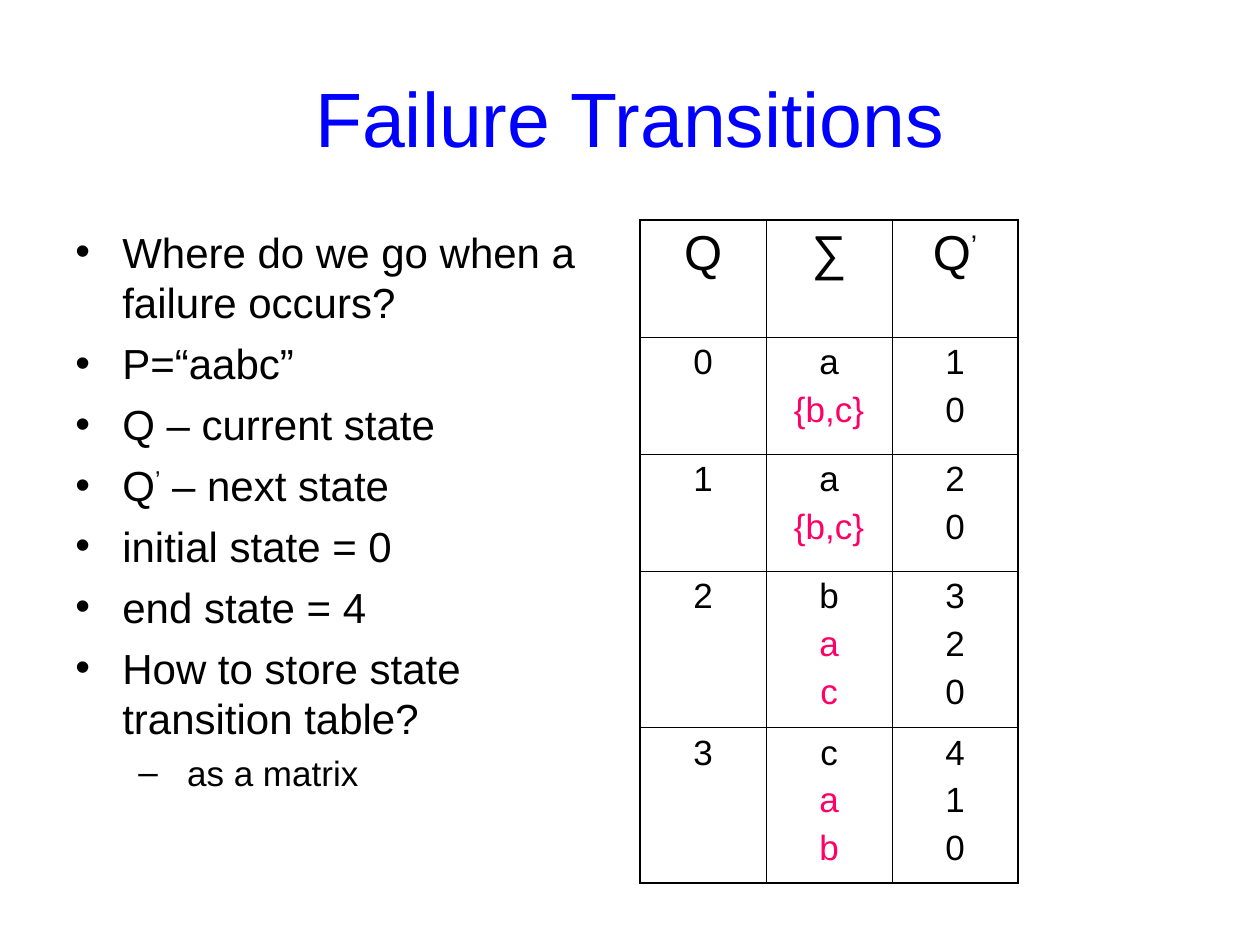
from lxml.etree import SubElement
from pptx import Presentation
from pptx.dml.color import RGBColor
from pptx.enum.text import MSO_ANCHOR as Anchor, PP_ALIGN as Align
from pptx.oxml.ns import qn
from pptx.util import Emu, Pt

BLACK = RGBColor(0x00, 0x00, 0x00)
BLUE = RGBColor(0x00, 0x00, 0xFF)
PINK = RGBColor(0xFF, 0x00, 0x66)
FONT = "Arial"
PRIME = "’"
THIN, THICK = 0.45, 1.08

BULLETS = [
    "Where do we go when a failure occurs?",
    "P=“aabc”",
    "Q – current state",
    "Q’ – next state",
    "initial state = 0",
    "end state = 4",
    "How to store state transition table?",
]
SUB_BULLET = " as a matrix"
HEADER = ["Q", "∑", "Q’"]
TRANSITIONS = [
    ("0", ["a", "{b,c}"], ["1", "0"]),
    ("1", ["a", "{b,c}"], ["2", "0"]),
    ("2", ["b", "a", "c"], ["3", "2", "0"]),
    ("3", ["c", "a", "b"], ["4", "1", "0"]),
]
COL_WIDTH = 126
ROW_HEIGHTS = [117, 117, 117, 156, 156]


def px(n):
    """Turn pixels at 126 to the inch into EMU."""
    return Emu(round(n * 914400 / 126))


def write(p, text, size, color=BLACK, before=0, align=Align.LEFT):
    """Fill a paragraph, raising each prime mark to superscript."""
    head, prime, tail = text.partition(PRIME)
    p.alignment = align
    p.space_before = Pt(before)
    for part in filter(None, (head, prime, tail)):
        r = p.add_run()
        r.text = part
        r.font.name = FONT
        r.font.size = Pt(size)
        r.font.color.rgb = color
        if part == PRIME:
            r.font._element.set("baseline", "30000")


def next_paragraph(tf, index):
    """Return the first paragraph of the frame, or a new one after it."""
    return tf.add_paragraph() if index else tf.paragraphs[0]


def add_text_frame(s, x, y, w, h, anchor=Anchor.TOP):
    """Add a wrapping text box and return its text frame."""
    tf = s.shapes.add_textbox(px(x), px(y), px(w), px(h)).text_frame
    tf.word_wrap = True
    tf.vertical_anchor = anchor
    return tf


def set_bullet(p, char, left, hanging):
    """Give a paragraph a bullet with a hanging indent."""
    pPr = p._p.get_or_add_pPr()
    pPr.set("marL", str(px(left)))
    pPr.set("indent", str(-px(hanging)))
    SubElement(pPr, qn("a:buFont"), typeface=FONT)
    SubElement(pPr, qn("a:buChar"), char=char)


def add_bullets(s):
    """Add the bulleted list on the left."""
    tf = add_text_frame(s, 63, 220, 557, 624)
    for i, text in enumerate(BULLETS):
        p = next_paragraph(tf, i)
        write(p, text, 24, before=6)
        set_bullet(p, "•", 47, 47)
    p = tf.add_paragraph()
    p.level = 1
    write(p, SUB_BULLET, 20, before=5)
    set_bullet(p, "–", 102, 39)


def set_borders(cell, widths):
    """Draw the left, right, top and bottom borders of a cell."""
    tcPr = cell._tc.get_or_add_tcPr()
    for side, width in zip("LRTB", widths):
        ln = SubElement(tcPr, qn(f"a:ln{side}"), w=str(Pt(width)))
        fill = SubElement(ln, qn("a:solidFill"))
        SubElement(fill, qn("a:srgbClr"), val=str(BLACK))


def fill_cell(cell, lines, size, before, rest_color=BLACK):
    """Write centred lines in a cell, colouring those after the first."""
    cell.fill.background()
    for i, text in enumerate(lines):
        color = rest_color if i else BLACK
        p = next_paragraph(cell.text_frame, i)
        write(p, text, size, color, before, Align.CENTER)


def add_transition_table(s):
    """Add the table of states, symbols and next states."""
    rows, cols = len(ROW_HEIGHTS), len(HEADER)
    frame = s.shapes.add_table(rows, cols, px(640), px(220),
                               px(COL_WIDTH * cols), px(sum(ROW_HEIGHTS)))
    table = frame.table
    table.first_row = table.horz_banding = False
    for col in table.columns:
        col.width = px(COL_WIDTH)
    for row, height in zip(table.rows, ROW_HEIGHTS):
        row.height = px(height)
    for i, entries in enumerate([HEADER, *TRANSITIONS]):
        size, before = (20, 5) if i else (28, 7)
        for j, lines in enumerate(entries):
            cell = table.cell(i, j)
            outer = (j == 0, j == cols - 1, i == 0, i == rows - 1)
            set_borders(cell, [THICK if edge else THIN for edge in outer])
            if isinstance(lines, str):
                lines = [lines]
            fill_cell(cell, lines, size, before, PINK if j == 1 else BLACK)


def main():
    """Build the slide and save it."""
    prs = Presentation()
    prs.slide_width, prs.slide_height = px(1260), px(945)
    s = prs.slides.add_slide(prs.slide_layouts[6])
    title = add_text_frame(s, 63, 38, 1134, 158, Anchor.MIDDLE)
    write(title.paragraphs[0], "Failure Transitions", 44, BLUE,
          align=Align.CENTER)
    add_bullets(s)
    add_transition_table(s)
    prs.save("out.pptx")


if __name__ == "__main__":
    main()
